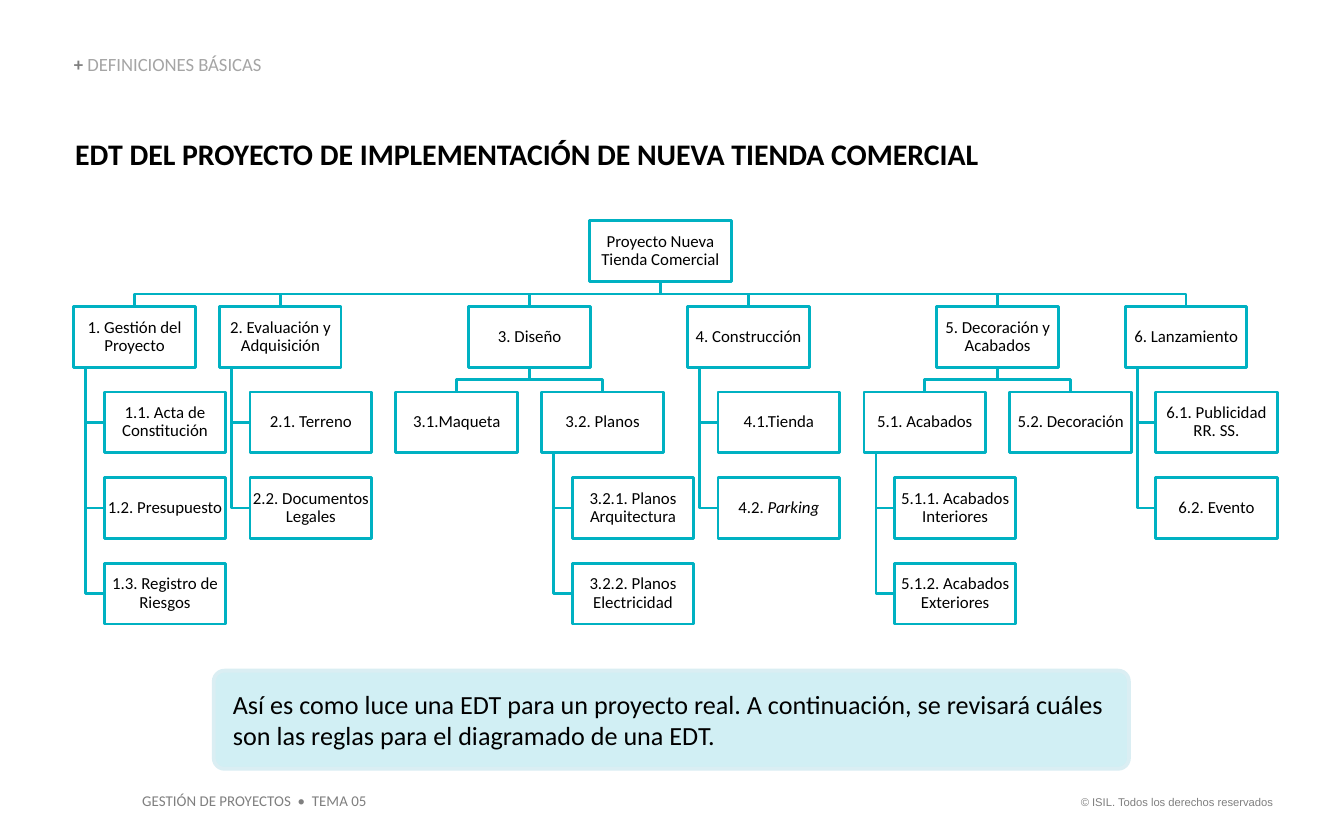
from collections import defaultdict
from dataclasses import dataclass, field

from pptx import Presentation
from pptx.dml.color import RGBColor
from pptx.enum.shapes import MSO_SHAPE
from pptx.enum.text import MSO_ANCHOR, PP_ALIGN
from pptx.util import Pt


@dataclass(frozen=True)
class Theme:
    font: str = "Calibri"
    legal: str = "Arial"
    ink: str = "000000"
    gray: str = "7F7F7F"
    pale: str = "A5A5A5"
    white: str = "FFFFFF"
    teal: str = "00B1C2"
    sky: str = "D1EFF4"
    rim: str = "DAEEF3"
    title: int = 16
    note: int = 14
    label: int = 10
    node: int = 9
    foot: int = 8
    tiny: int = 6


@dataclass
class Node:
    text: str  # words between underscores are italic
    kids: list = field(default_factory=list)
    hang: bool = True  # children hang below, or spread side by side
    row: int = 0
    x: float = 0


THEME = Theme()

# Sizes of the tree, in points
WIDE, HIGH = 65.1, 32.55
GAP, STEP = 13.05, 45.87
INDENT, TRUNK = WIDE / 4, WIDE / 10
ROOT = 76

TREE = Node("Proyecto Nueva Tienda Comercial", [
    Node("1. Gestión del Proyecto", [
        Node("1.1. Acta de Constitución"),
        Node("1.2. Presupuesto"),
        Node("1.3. Registro de Riesgos")]),
    Node("2. Evaluación y Adquisición", [
        Node("2.1. Terreno"),
        Node("2.2. Documentos Legales")]),
    Node("3. Diseño", [
        Node("3.1.Maqueta"),
        Node("3.2. Planos", [
            Node("3.2.1. Planos Arquitectura"),
            Node("3.2.2. Planos Electricidad")])], hang=False),
    Node("4. Construcción", [
        Node("4.1.Tienda"),
        Node("4.2. _Parking_")]),
    Node("5. Decoración y Acabados", [
        Node("5.1. Acabados", [
            Node("5.1.1. Acabados Interiores"),
            Node("5.1.2. Acabados Exteriores")]),
        Node("5.2. Decoración")], hang=False),
    Node("6. Lanzamiento", [
        Node("6.1. Publicidad RR. SS."),
        Node("6.2. Evento")]),
], hang=False)


def color(code):
    return RGBColor.from_string(code)


def write(shape, runs, size, pad=(0, 0), align=PP_ALIGN.LEFT,
          anchor=MSO_ANCHOR.TOP, font=THEME.font, space=None):
    """Each run is (text, colour, bold, italic)."""
    frame = shape.text_frame
    frame.word_wrap = True
    frame.vertical_anchor = anchor
    frame.margin_left = frame.margin_right = Pt(pad[0])
    frame.margin_top = frame.margin_bottom = Pt(pad[1])
    para = frame.paragraphs[0]
    para.alignment = align
    para.line_spacing = space
    for text, ink, bold, slant in runs:
        run = para.add_run()
        run.text = text
        run.font.name, run.font.size = font, Pt(size)
        run.font.bold, run.font.italic = bold, slant
        run.font.color.rgb = color(ink)


def panel(shapes, kind, box, fill, line, width):
    shape = shapes.add_shape(kind, *map(Pt, box))
    shape.shadow.inherit = False
    shape.fill.solid()
    shape.fill.fore_color.rgb = color(fill)
    shape.line.color.rgb = color(line)
    shape.line.width = Pt(width)
    return shape


def label(slide, box, runs, size, **style):
    write(slide.shapes.add_textbox(*map(Pt, box)), runs, size, **style)


# Tree: layout

def pack(node, row, free):
    """Put a branch as far left as the free edge of each row allows."""
    node.row = row
    if node.kids and not node.hang:
        for kid in node.kids:
            pack(kid, row + 1, free)
        node.x = (node.kids[0].x + node.kids[-1].x) / 2
    else:
        below = range(row + 1, row + 1 + len(node.kids))
        node.x = max([free[row]] + [free[r] - INDENT for r in below])
        for kid, r in zip(node.kids, below):
            kid.row, kid.x = r, node.x + INDENT
            free[r] = kid.x + WIDE + GAP
    free[row] = node.x + WIDE + GAP


# Tree: drawing

def link(shapes, points):
    (x, y), *rest = [(Pt(a), Pt(b)) for a, b in points]
    pen = shapes.build_freeform(x, y)
    pen.add_line_segments(rest, close=False)
    line = pen.convert_to_shape()
    line.shadow.inherit = False
    line.fill.background()
    line.line.color.rgb = color(THEME.teal)
    line.line.width = Pt(1.5)


def join(shapes, node, top):
    base = top + node.row * STEP + HIGH
    for kid in node.kids:
        head = top + kid.row * STEP
        if node.hang:
            x, mid = node.x + TRUNK, head + HIGH / 2
            link(shapes, [(x, base), (x, mid), (kid.x, mid)])
        else:
            x, end = node.x + WIDE / 2, kid.x + WIDE / 2
            mid = (base + head) / 2
            link(shapes, [(x, base), (x, mid), (end, mid), (end, head)])
        join(shapes, kid, top)


def card(shapes, node, top):
    wide = WIDE if node.row else ROOT
    box = (node.x + (WIDE - wide) / 2, top + node.row * STEP, wide, HIGH)
    shape = panel(shapes, MSO_SHAPE.RECTANGLE, box,
                  THEME.white, THEME.teal, 1.5)
    runs = [(part, THEME.ink, False, i % 2 == 1)
            for i, part in enumerate(node.text.split("_")) if part]
    write(shape, runs, THEME.node, pad=(0.45, 0.45), align=PP_ALIGN.CENTER,
          anchor=MSO_ANCHOR.MIDDLE, space=0.9)
    for kid in node.kids:
        card(shapes, kid, top)


def chart(slide, left, top):
    pack(TREE, 0, defaultdict(lambda: left))
    group = slide.shapes.add_group_shape()
    join(group.shapes, TREE, top)
    card(group.shapes, TREE, top)


# Other regions

def header(slide, left, top, width):
    label(slide, (left, top, width, 11),
          [("+ ", THEME.gray, True, False),
           ("DEFINICIONES BÁSICAS", THEME.pale, False, False)],
          THEME.label, anchor=MSO_ANCHOR.BOTTOM, space=0.9)
    label(slide, (left + 0.7, top + 43.2, width, 19.4),
          [("EDT DEL PROYECTO DE IMPLEMENTACIÓN DE NUEVA TIENDA COMERCIAL",
            THEME.ink, True, False)], THEME.title)


def note(slide, box):
    shape = panel(slide.shapes, MSO_SHAPE.ROUNDED_RECTANGLE, box,
                  THEME.sky, THEME.rim, 2)
    shape.adjustments[0] = 0.11
    write(shape, [("Así es como luce una EDT para un proyecto real. "
                   "A continuación, se revisará cuáles son las reglas "
                   "para el diagramado de una EDT.",
                   THEME.ink, False, False)],
          THEME.note, pad=(8.6, 0), anchor=MSO_ANCHOR.MIDDLE)


def footer(slide, left, top, width):
    label(slide, (left, top, 150, 17),
          [("GESTIÓN DE PROYECTOS  •  TEMA 05", THEME.gray, False, False)],
          THEME.foot, pad=(7.2, 3.6))
    label(slide, (left + width - 130, top + 2.2, 130, 14.4),
          [("© ISIL. Todos los derechos reservados",
            THEME.gray, False, False)],
          THEME.tiny, pad=(7.2, 3.6), align=PP_ALIGN.RIGHT,
          font=THEME.legal)


def main():
    deck = Presentation()
    deck.slide_width, deck.slide_height = Pt(720), Pt(450)
    slide = deck.slides.add_slide(deck.slide_layouts[6])
    footer(slide, 69.1, 420.5, 620)
    chart(slide, 39.5, 118.3)
    header(slide, 39.6, 29.5, 580)
    note(slide, (114.5, 359.3, 490.3, 52.6))
    deck.save("out.pptx")


if __name__ == "__main__":
    main()
